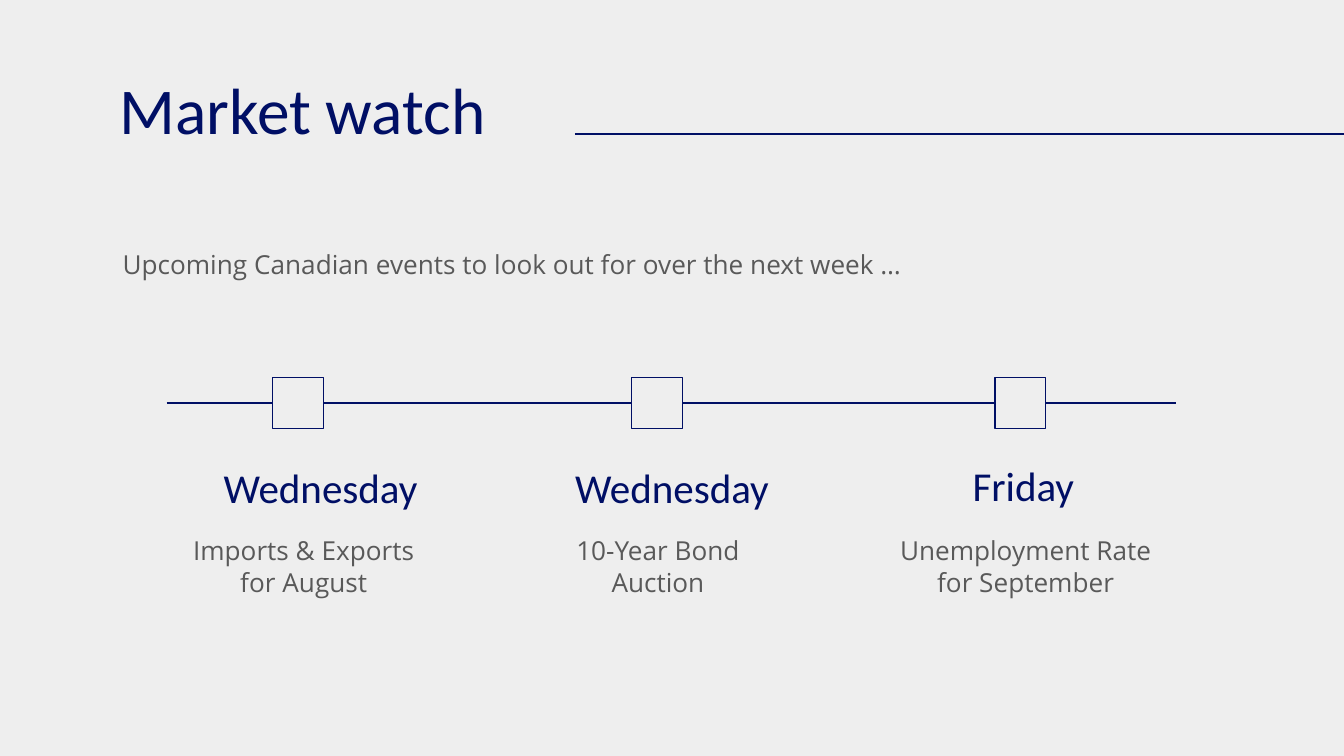
from pptx import Presentation
from pptx.dml.color import RGBColor
from pptx.enum.shapes import MSO_CONNECTOR, MSO_SHAPE
from pptx.enum.text import MSO_ANCHOR, PP_ALIGN
from pptx.oxml.ns import qn
from pptx.util import Pt
from lxml import etree

LEFT, CENTER = PP_ALIGN.LEFT, PP_ALIGN.CENTER
MIDDLE = MSO_ANCHOR.MIDDLE
STRAIGHT, RECTANGLE = MSO_CONNECTOR.STRAIGHT, MSO_SHAPE.RECTANGLE

PAGE_WIDTH, PAGE_HEIGHT = 720, 405
NAVY, GRAY, PALE = "000F65", "595959", "EEEEEE"
TITLE = {"name": "Calibri", "size": Pt(35), "color": NAVY}
DAY = {"name": "Calibri", "size": Pt(22), "color": NAVY}
BODY = {"name": "Open Sans", "size": Pt(14), "color": GRAY}


def rgb(value):
    return RGBColor.from_string(value)


class MarketPage:
    """Holds the line style and the current slide."""

    def __init__(self, deck):
        self.line_color, self.line_width = NAVY, Pt(0.75)
        self.page = deck.slides.add_slide(deck.slide_layouts[6])
        fill = self.page.background.fill
        fill.solid()
        fill.fore_color.rgb = rgb(PALE)

    def stroke(self, item):
        item.line.color.rgb = rgb(self.line_color)
        item.line.width = self.line_width

    def text(self, words, left, top, width, height, style, align=CENTER):
        box = self.page.shapes.add_textbox(Pt(left), Pt(top), Pt(width), Pt(height))
        frame = box.text_frame
        frame_format = {"word_wrap": True, "vertical_anchor": MIDDLE}
        for side in ("left", "right", "top", "bottom"):
            frame_format[f"margin_{side}"] = Pt(7.2)
        for key, value in frame_format.items():
            setattr(frame, key, value)
        para = frame.paragraphs[0]
        para.alignment = align
        span = para.add_run()
        span.text = words
        for key, value in style.items():
            if key == "color":
                span.font.color.rgb = rgb(value)
            else:
                setattr(span.font, key, value)

    def rule(self, start, end, y):
        line = self.page.shapes.add_connector(STRAIGHT, Pt(start), Pt(y), Pt(end), Pt(y))
        self.stroke(line)
        etree.SubElement(line._element.spPr, qn("a:effectLst"))

    def marker(self, left, top, size):
        square = self.page.shapes.add_shape(RECTANGLE, Pt(left), Pt(top), Pt(size), Pt(size))
        square.shadow.inherit = False
        square.fill.background()
        self.stroke(square)


def main():
    deck = Presentation()
    deck.slide_width, deck.slide_height = Pt(PAGE_WIDTH), Pt(PAGE_HEIGHT)
    market = MarketPage(deck)

    # Heading and introduction
    market.text("Market watch", 57, 35.5, 607, 45, TITLE, LEFT)
    market.rule(308, PAGE_WIDTH, 71.75)
    market.text("Upcoming Canadian events to look out for over the next week …",
                57, 114, 435, 54.5, BODY)

    # Events: marker left, day with its left, top and width, detail with its left and width
    events = [
        (146, ("Wednesday", 97.25, 245.75, 149), ("Imports & Exports for August", 89.25, 147)),
        (338.25, ("Wednesday", 288, 245.75, 144), ("10-Year Bond Auction", 280, 145)),
        (533, ("Friday", 491, 245, 114.5), ("Unemployment Rate for September", 469, 161)),
    ]
    axis_y, marker_size = 216, 27.25
    line_start, line_end = 89.25, 630

    # Timeline: each rule runs up to the next marker
    for marker_left, (day, day_left, day_top, day_width), (detail, left, width) in events:
        market.rule(line_start, marker_left, axis_y)
        market.marker(marker_left, axis_y - marker_size / 2, marker_size)
        market.text(day, day_left, day_top, day_width, 30, DAY)
        market.text(detail, left, 276, width, 54.5, BODY)
        line_start = marker_left + marker_size
    market.rule(line_start, line_end, axis_y)

    deck.save("out.pptx")


if __name__ == "__main__":
    main()
